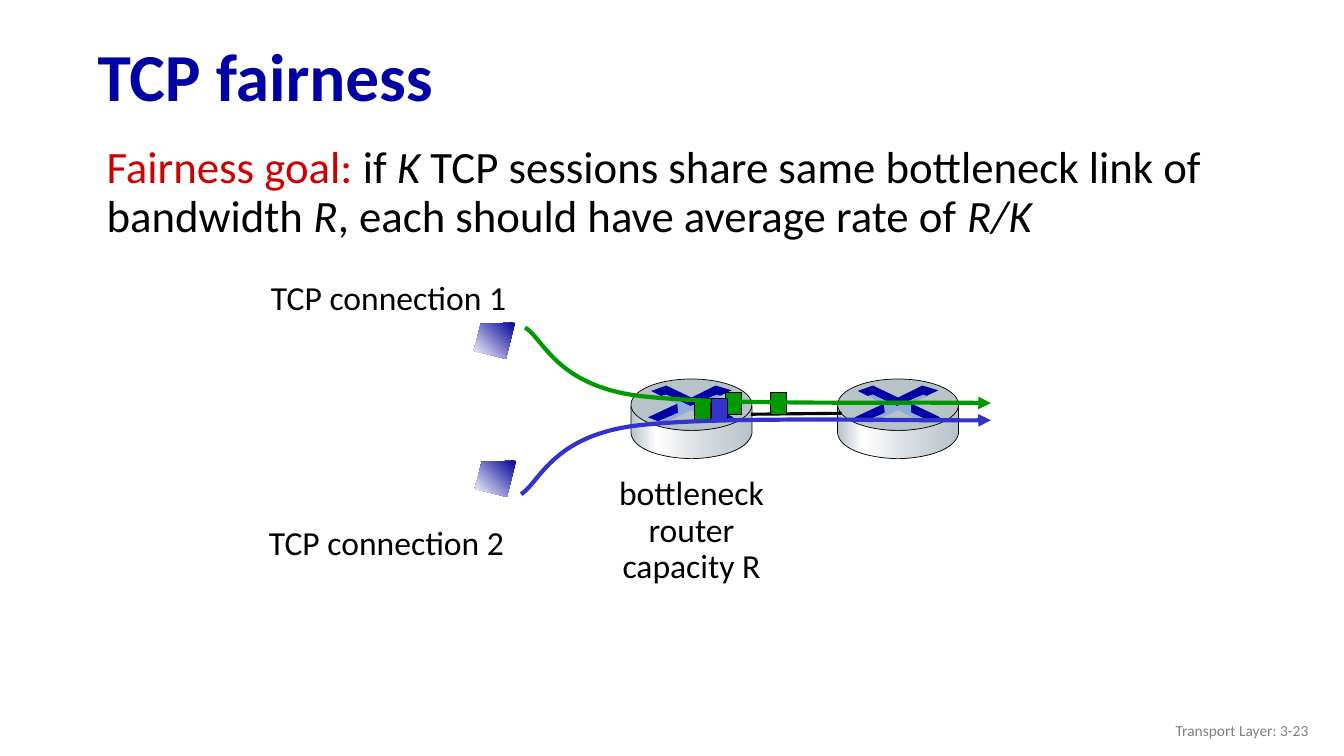
from copy import deepcopy

from lxml.etree import SubElement
from pptx import Presentation
from pptx.dml.color import RGBColor
from pptx.enum.shapes import MSO_CONNECTOR, MSO_SHAPE
from pptx.enum.text import MSO_ANCHOR, PP_ALIGN
from pptx.oxml.ns import qn
from pptx.util import Pt

COLORS = {
    "navy": "0000A3", "deep": "0000A8", "host": "000099", "light": "8FAADC",
    "blue": "3333CC", "green": "009900", "red": "CC0000", "black": "000000",
    "white": "FFFFFF", "steel": "B8C2C9", "silver": "D6DCE0", "gray": "808080",
}
METAL = [(0, "steel"), (0.21, "white"), (0.6, "silver"), (1, "steel")]
SCREEN = [(0, "host"), (1, "white")]

ROUTER_BODY = [
    (86.4, 19.4), (86.4, 38.9),
    (83.5, 52.6, 57.6, 56.9, 43.2, 56.9), (28.8, 56.9, 2.2, 52.6, 0, 38.9),
    (0, 19.4),
    (3.6, 31, 28, 36.7, 42.5, 36.7), (56.9, 36.7, 82, 32.4, 86.4, 19.4),
]
ROUTER_MARKS = [
    ("navy", [(60.5, 4.7), (72, 8.1), (63.4, 12.2), (61.2, 11.2), (42.5, 19.4),
              (25.2, 11.2), (21.6, 12.2), (14.4, 8.6), (25.2, 4.7), (43.2, 13.3)]),
    ("navy", [(52.2, 17.3), (73.4, 27.4), (66.2, 30.2), (52.2, 23.8)]),
    ("deep", [(33.8, 17.3), (33.8, 24.1), (19.4, 30.2), (12.2, 27.4)]),
    ("light", [(21.6, 12.2), (25.2, 11.2), (42.5, 19.4), (61.2, 11.2), (64.1, 12.2),
               (52.6, 17.6), (52.6, 24.1), (65.5, 30.2), (62.6, 31.7), (43.2, 22.3),
               (23, 31.7), (20.2, 30.2), (33.8, 24.5), (33.1, 18)]),
]
HOST = [(29.5, 0), (5, 1), (0, 20.2), (23, 25.9)]
GREEN_FLOW = [(375.1, 234), (388.1, 241.9, 396.7, 273.6, 452.2, 282.2),
              (507.6, 290.2, 655.2, 286.6, 707.8, 288)]
BLUE_FLOW = [(372.2, 353), (385.2, 344.9, 393.8, 313.2, 450, 304.6),
             (505.4, 296.6, 654.5, 301, 707.8, 300.2)]


def color(name):
    return RGBColor.from_string(COLORS[name])


def flatten(steps, count=24):
    points = [steps[0]]
    for step in steps[1:]:
        if len(step) == 2:
            points.append(step)
            continue
        corners = [points[-1], step[:2], step[2:4], step[4:]]
        for index in range(1, count + 1):
            t = index / count
            weights = [(1 - t) ** 3, 3 * t * (1 - t) ** 2, 3 * t * t * (1 - t), t ** 3]
            points.append(tuple(
                sum(weight * corner[axis] for weight, corner in zip(weights, corners))
                for axis in (0, 1)))
    return points


class Painter:
    def __init__(self, page, font):
        self.page = page
        self.font = font

    def style(self, shape, fill=None, line=None, weight=0.5):
        shape.shadow.inherit = False
        if isinstance(fill, list):
            self.gradient(shape, fill)
        elif fill:
            shape.fill.solid()
            shape.fill.fore_color.rgb = color(fill)
        else:
            shape.fill.background()
        if line:
            shape.line.color.rgb = color(line)
            shape.line.width = Pt(weight)
        else:
            shape.line.fill.background()
        return shape

    def gradient(self, shape, stops):
        shape.fill.gradient()
        stop_list = shape._element.spPr.find(qn("a:gradFill")).find(qn("a:gsLst"))
        for _ in stops[2:]:
            stop_list.append(deepcopy(stop_list[0]))
        for stop, (position, name) in zip(shape.fill.gradient_stops, stops):
            stop.position = position
            stop.color.rgb = color(name)
        shape.fill.gradient_angle = 225 if stops is SCREEN else 0

    def outline(self, steps, left=0, top=0, close=True, **look):
        points = [(Pt(left + x), Pt(top + y)) for x, y in flatten(steps)]
        builder = self.page.shapes.build_freeform(*points[0], scale=1.0)
        builder.add_line_segments(points[1:], close=close)
        return self.style(builder.convert_to_shape(), **look)

    def shape(self, kind, left, top, width, height, **look):
        shape = self.page.shapes.add_shape(kind, Pt(left), Pt(top), Pt(width), Pt(height))
        return self.style(shape, **look)

    def router(self, left, top):
        self.outline(ROUTER_BODY, left, top, fill=METAL, line="black")
        self.shape(MSO_SHAPE.OVAL, left, top, 86.4, 36.7, fill="steel", line="black")
        for name, steps in ROUTER_MARKS:
            self.outline(steps, left, top, fill=name)

    def packet(self, left, top, name):
        self.shape(MSO_SHAPE.RECTANGLE, left, top, 11.5, 15.8,
                   fill=name, line="black", weight=0.75)

    def flow(self, steps, name):
        curve = self.outline(steps, close=False, line=name, weight=3)
        SubElement(curve.line._get_or_add_ln(), qn("a:tailEnd"), type="triangle")

    def link(self, start, end):
        line = self.page.shapes.add_connector(
            MSO_CONNECTOR.STRAIGHT, *[Pt(value) for value in start + end])
        line.line.color.rgb = color("black")
        line.line.width = Pt(2.25)
        SubElement(line._element.spPr, qn("a:effectLst"))

    def text(self, paragraphs, left, top, width, height, size=24, name="black", bold=False,
             align=PP_ALIGN.LEFT, anchor=MSO_ANCHOR.TOP, spacing=1.0, wrap=True):
        box = self.page.shapes.add_textbox(Pt(left), Pt(top), Pt(width), Pt(height))
        frame = box.text_frame
        frame.word_wrap = wrap
        frame.vertical_anchor = anchor
        for index, spans in enumerate(paragraphs):
            para = frame.paragraphs[0] if index == 0 else frame.add_paragraph()
            para.alignment = align
            para.line_spacing = spacing
            for words, look in ([(spans, "")] if isinstance(spans, str) else spans):
                span = para.add_run()
                span.text = words
                span.font.name = self.font
                span.font.size = Pt(size)
                span.font.bold = bold
                span.font.italic = look == "italic"
                span.font.color.rgb = color(look if look in COLORS else name)


def main():
    deck = Presentation()
    deck.slide_width, deck.slide_height = Pt(960), Pt(540)
    painter = Painter(deck.slides.add_slide(deck.slide_layouts[6]), "Calibri")

    for left in (598.3, 450.7):
        painter.router(left, 270.7)

    painter.text(["TCP fairness"], 62.6, 21.6, 897.1, 70.6, size=48, name="navy",
                 bold=True, anchor=MSO_ANCHOR.MIDDLE, spacing=0.9)
    goal = [("Fairness goal:", "red"), (" if", ""), (" K ", "italic"),
            ("TCP sessions share same bottleneck link of bandwidth ", ""), ("R", "italic"),
            (", each should have average rate of ", ""), ("R/K", "italic")]
    painter.text([goal], 69.1, 100.1, 801.4, 85.7, size=32, spacing=0.9)

    painter.link((536.4, 295.9), (601.2, 295.2))
    for left, top in ((550.1, 280.1), (496.1, 284.4), (518.4, 280.1)):
        painter.packet(left, top, "green")
    painter.text(["bottleneck", "router", "capacity R"], 434.2, 337, 119.5, 85.7,
                 align=PP_ALIGN.CENTER, spacing=0.9, wrap=False)
    painter.flow(GREEN_FLOW, "green")
    painter.packet(508.3, 284.4, "blue")
    painter.flow(BLUE_FLOW, "blue")

    for number, left, top in ((1, 186.5, 194.4), (2, 185, 369.4)):
        painter.text([f"TCP connection {number}"], left, top, 184.3, 36, wrap=False)
    for left, top in ((338.4, 230.4), (339.1, 329)):
        painter.outline(HOST, left, top, fill=SCREEN)

    painter.text(["Transport Layer: 3-23"], 725.8, 507.6, 216, 28.8, size=11, name="gray",
                 align=PP_ALIGN.RIGHT, anchor=MSO_ANCHOR.MIDDLE)
    deck.save("out.pptx")


if __name__ == "__main__":
    main()
